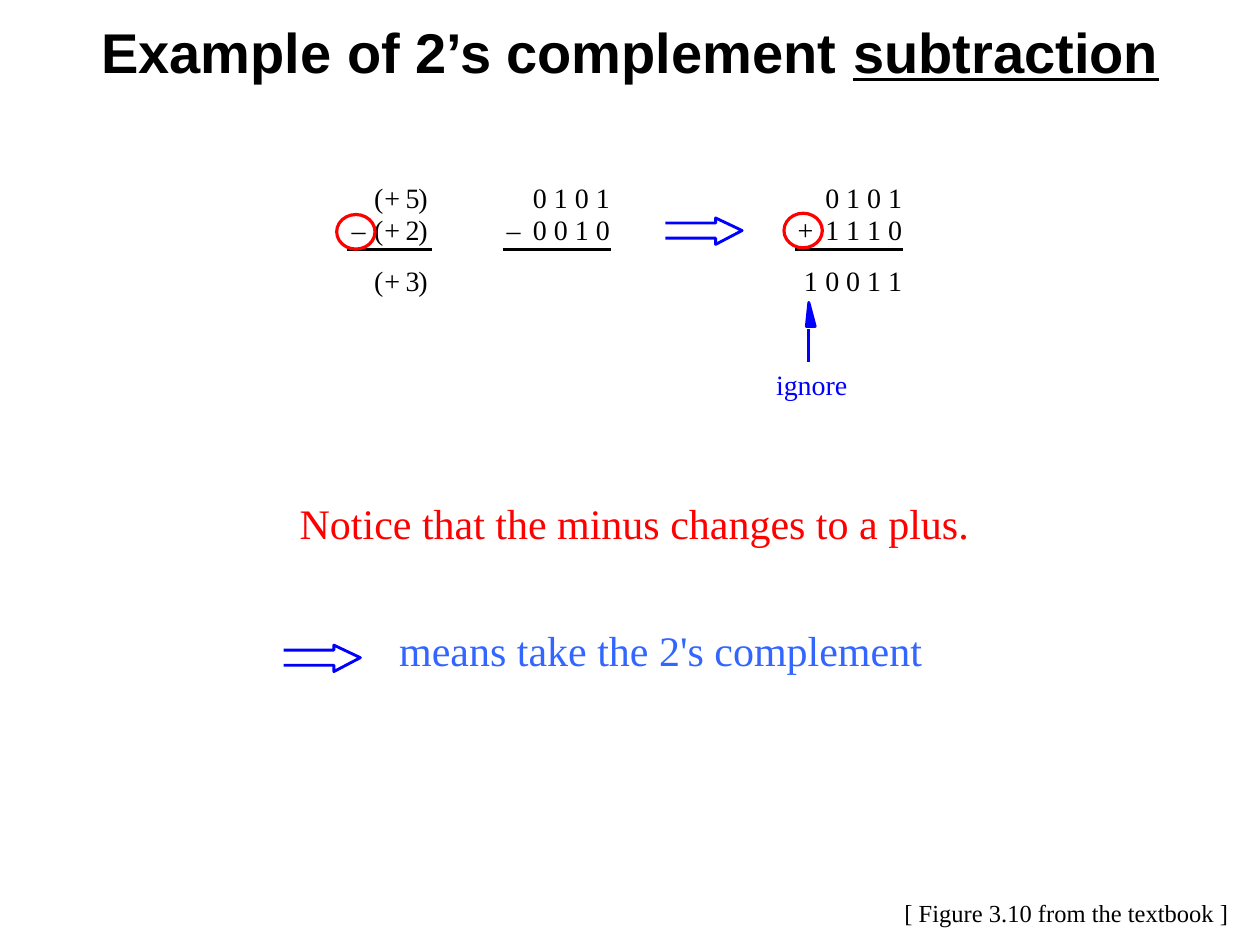
import dataclasses

import pptx
import pptx.dml.color
import pptx.enum.shapes
import pptx.enum.text
import pptx.oxml
import pptx.oxml.ns
import pptx.util

Inches, Pt = pptx.util.Inches, pptx.util.Pt
RGB = pptx.dml.color.RGBColor


@dataclasses.dataclass(frozen=True)
class Theme:
    black: RGB = RGB(0, 0, 0)
    red: RGB = RGB(255, 0, 0)
    blue: RGB = RGB(0, 0, 255)
    sky: RGB = RGB(0x33, 0x66, 0xFF)
    head_font: str = "Arial"
    body_font: str = "Times New Roman"
    title: int = 32
    note: int = 24
    digit: int = 16
    credit: int = 14
    line: float = 1.63


T = Theme()
W, H = 10, 7.5

# Rows of the sums, and the left edge of each column of digits
ROWS = (1.43, 1.69, 2.09)
RULE_Y = 1.98
DECIMAL, BINARY, COMPLEMENT = 2.97, 4.23, 6.55
DIGIT_W, ROW_H = 0.78, 0.3


def style(font, name, size, color):
    font.name, font.size, font.color.rgb = name, Pt(size), color


def add_title(slide, plain, underlined):
    s = slide.shapes.title
    s.left, s.top, s.width, s.height = 0, Inches(0.08), Inches(W), Inches(0.1 * H)
    s.text_frame.vertical_anchor = pptx.enum.text.MSO_ANCHOR.TOP
    s.text_frame.margin_top = Inches(0.06)
    p = s.text_frame.paragraphs[0]
    p.alignment = pptx.enum.text.PP_ALIGN.CENTER
    style(p.font, T.head_font, T.title, T.black)
    p.font.bold = True
    p.add_run().text = plain
    r = p.add_run()
    r.text = underlined
    r.font.underline = True


def add_text(slide, text, x, y, w, h, size, color, inset=True):
    s = slide.shapes.add_textbox(*map(Inches, (x, y, w, h)))
    tf = s.text_frame
    tf.word_wrap = False
    tf.auto_size = pptx.enum.text.MSO_AUTO_SIZE.SHAPE_TO_FIT_TEXT
    if not inset:
        tf.margin_left = tf.margin_right = tf.margin_top = tf.margin_bottom = 0
    p = tf.paragraphs[0]
    p.text = text
    style(p.font, T.body_font, size, color)


def add_digits(slide, text, x, y, w=DIGIT_W, h=ROW_H, color=T.black):
    add_text(slide, text, x, y, w, h, T.digit, color, inset=False)


def add_bracketed(slide, number, y):
    """Set the digit and its sign first, then the brackets around them."""
    for sign, dx, w in ((number, 0.25, 0.22), ("+", 0.08, 0.23),
                        ("(", 0, 0.17), (")", 0.35, 0.17)):
        add_digits(slide, sign, DECIMAL + dx, y, w)


def add_line(slide, x1, y1, x2, y2, color):
    s = slide.shapes.add_connector(
        pptx.enum.shapes.MSO_CONNECTOR.STRAIGHT, *map(Inches, (x1, y1, x2, y2)))
    s.line.color.rgb, s.line.width = color, Pt(T.line)
    pr = s._element.spPr
    pr.append(pptx.oxml.parse_xml(f"<a:effectLst {pptx.oxml.ns.nsdecls('a')}/>"))


def add_outline(slide, x, y, points, closed=False):
    """Draw blue straight edges through offsets from (x, y); closed ones are filled."""
    start, *rest = [(Inches(x + dx), Inches(y + dy)) for dx, dy in points]
    b = slide.shapes.build_freeform(*start)
    b.add_line_segments(rest, close=closed)
    s = b.convert_to_shape()
    s.shadow.inherit = False
    if closed:
        s.fill.solid()
        s.fill.fore_color.rgb = T.blue
    else:
        s.fill.background()
    s.line.color.rgb, s.line.width = T.blue, Pt(T.line)


def add_block_arrow(slide, x, y):
    add_outline(slide, x, y, [(0, 0.16), (0.4, 0.16), (0.4, 0.21), (0.61, 0.1),
                              (0.4, 0), (0.4, 0.04), (0, 0.04)])


def add_ring(slide, x, y):
    s = slide.shapes.add_shape(pptx.enum.shapes.MSO_SHAPE.DONUT,
                               *map(Inches, (x, y, 0.33, ROW_H)))
    s.adjustments[0] = 0.085
    s.shadow.inherit = False
    s.fill.solid()
    s.fill.fore_color.rgb = T.red
    s.line.fill.background()


def add_sums(slide):
    top, middle, bottom = ROWS
    for number, y in zip("523", ROWS):
        add_bracketed(slide, number, y)
    for x, upper, lower in ((BINARY, "0 1 0 1", "0 0 1 0"),
                            (COMPLEMENT, "0 1 0 1", "1 1 1 0")):
        add_digits(slide, upper, x, top)
        add_digits(slide, lower, x, middle)
    add_digits(slide, "1", 6.38, bottom, 0.22)
    add_digits(slide, "0 0 1 1", COMPLEMENT, bottom)
    for x in (2.79, 4.02):
        add_digits(slide, "–", x, middle, 0.11, 0.27)
    add_digits(slide, "+", 6.33, middle, 0.23)
    for x1, x2 in ((2.75, 3.43), (3.99, 4.85), (6.31, 7.17)):
        add_line(slide, x1, RULE_Y, x2, RULE_Y, T.black)


def add_carry_note(slide):
    add_outline(slide, 6.4, 2.4, [(0.07, 0.19), (0.02, 0), (0, 0.19)], closed=True)
    add_line(slide, 6.42, 2.87, 6.42, 2.61, T.blue)
    add_digits(slide, "ignore", 6.16, 2.92, 0.57, 0.27, T.blue)


def main():
    prs = pptx.Presentation()
    prs.slide_width, prs.slide_height = Inches(W), Inches(H)
    slide = prs.slides.add_slide(prs.slide_layouts.get_by_name("Title Only"))

    add_title(slide, "Example of 2’s complement ", "subtraction")
    add_sums(slide)
    add_carry_note(slide)
    for x, y in ((5.28, 1.73), (2.25, 5.12)):
        add_block_arrow(slide, x, y)
    for x, y in ((2.66, 1.69), (6.21, 1.68)):
        add_ring(slide, x, y)
    add_text(slide, "Notice that the minus changes to a plus.",
             2.28, 0.52 * H, 5.56, 0.51, T.note, T.red)
    add_text(slide, "means take the 2's complement", 3.07, 4.91, 4.4, 0.5, T.note, T.sky)
    add_text(slide, "[ Figure 3.10 from the textbook ]",
             7.08, 7.08, 2.78, 0.34, T.credit, T.black)
    prs.save("out.pptx")


if __name__ == "__main__":
    main()
